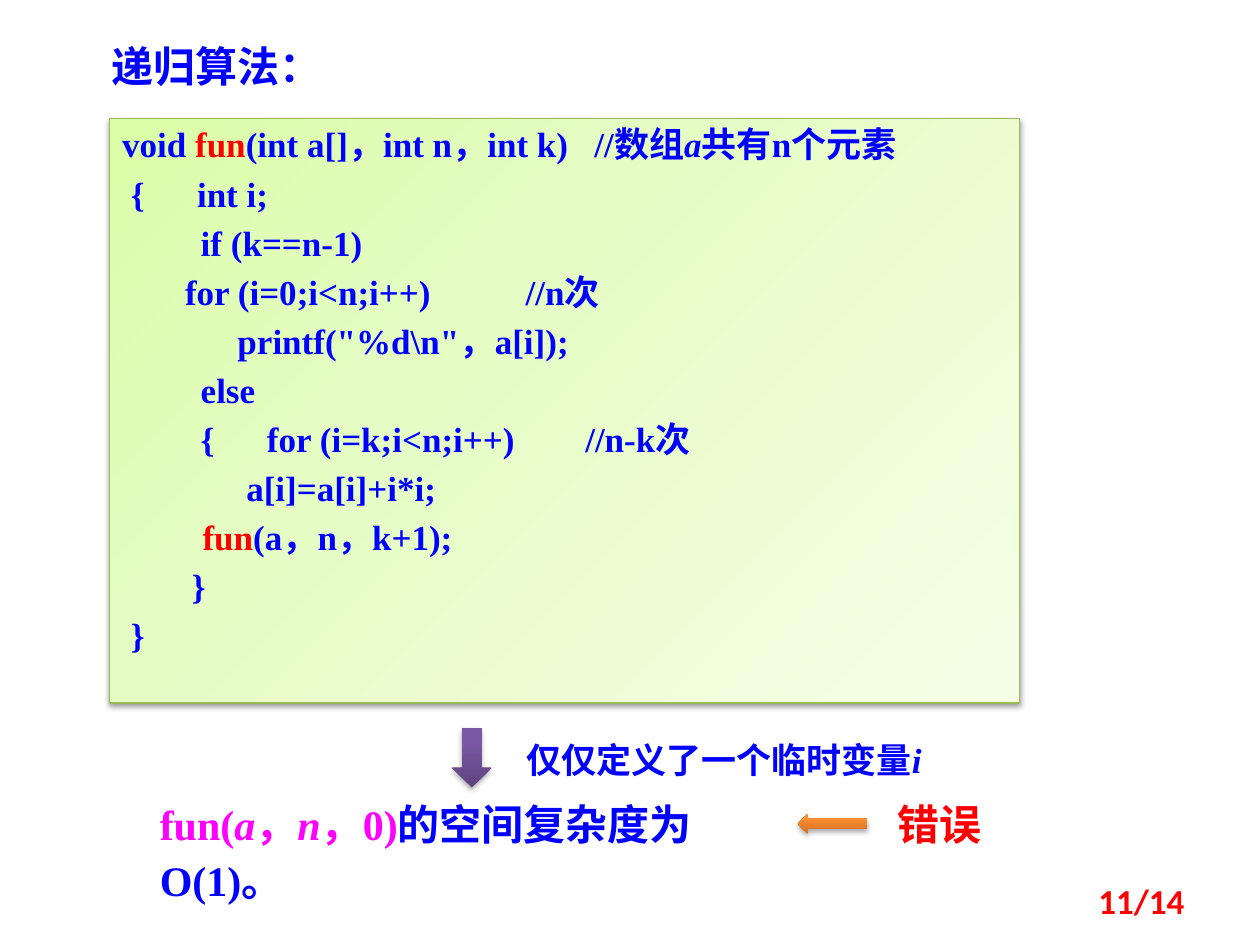
"""Build the slide on the space complexity of a recursive algorithm."""
from copy import deepcopy

from lxml import etree
from pptx import Presentation
from pptx.dml.color import RGBColor
from pptx.enum.shapes import MSO_SHAPE
from pptx.enum.text import MSO_ANCHOR, PP_ALIGN
from pptx.oxml.ns import qn
from pptx.util import Inches, Pt

LEFT, CENTER, RIGHT = PP_ALIGN.LEFT, PP_ALIGN.CENTER, PP_ALIGN.RIGHT
TOP, MIDDLE = MSO_ANCHOR.TOP, MSO_ANCHOR.MIDDLE
RECTANGLE = MSO_SHAPE.RECTANGLE
LEFT_ARROW, DOWN_ARROW = MSO_SHAPE.LEFT_ARROW, MSO_SHAPE.DOWN_ARROW
BLUE, RED, MAGENTA = "0000FF", "FF0000", "FF00FF"
SERIF, HAN, SANS = "Times New Roman", "Noto Sans CJK SC", "Calibri"

presentation = Presentation()
presentation.slide_width = Inches(10)
presentation.slide_height = Inches(7.5)
slide = presentation.slides.add_slide(presentation.slide_layouts[6])
column = presentation.slide_width / 100
row = presentation.slide_height / 100
color = RGBColor.from_string


def add_block(kind, area, stops, angle, opacity):
    left, top, width, height = area
    shape = slide.shapes.add_shape(
        kind, int(left * column), int(top * row), int(width * column), int(height * row))
    shape.line.fill.background()
    shape.fill.gradient()
    shape.fill.gradient_angle = angle
    stop_list = shape.element.spPr.find(".//" + qn("a:gsLst"))
    stop_list.append(deepcopy(stop_list[0]))
    for stop, (position, value) in zip(shape.fill.gradient_stops, stops):
        stop.position = position
        stop.color.rgb = color(value)
    shape.shadow.inherit = False
    effects = shape.element.spPr.find(qn("a:effectLst"))
    shadow = etree.SubElement(effects, qn("a:outerShdw"), blurRad=str(Pt(3.1)),
                              dist=str(Pt(1.7)), dir="5400000", rotWithShape="0")
    shade = etree.SubElement(shadow, qn("a:srgbClr"), val="000000")
    etree.SubElement(shade, qn("a:alpha"), val=str(opacity * 1000))
    return shape


def write(shape, lines, size, font=SERIF, align=LEFT, spacing=1.1, before=0, anchor=TOP):
    frame = shape.text_frame
    frame.word_wrap = True
    frame.vertical_anchor = anchor
    for index, pieces in enumerate(lines):
        paragraph = frame.add_paragraph() if index else frame.paragraphs[0]
        paragraph.alignment = align
        paragraph.line_spacing = spacing
        paragraph.space_before = Pt(before if index else 0)
        for text, value, *italic in pieces:
            run = paragraph.add_run()
            run.text = text
            run.font.size = Pt(size)
            run.font.bold = True
            run.font.italic = bool(italic)
            run.font.color.rgb = color(value)
            run.font.name = font
            etree.SubElement(run.font._element, qn("a:ea"), typeface=HAN)


code_box = add_block(RECTANGLE, (8.7, 12.53, 72.2, 61.87),
                     [(0, "DAFDA7"), (0.35, "E4FCC2"), (1, "F5FFE7")], 315, 38)
code_box.line.color.rgb = color("98B955")
code_box.line.width = Pt(0.75)
code_box.text_frame.margin_top = Inches(0.12)
code = [
    [("void ", BLUE), ("fun", RED), ("(int a[]，int n，int k)   //数组", BLUE),
     ("a", BLUE, "italic"), ("共有n个元素", BLUE)],
    [(" {      int i;", BLUE)],
    [("         if (k==n-1)", BLUE)],
    [("\tfor (i=0;i<n;i++) \u3000\u3000  //n次".replace("\u3000", "　"), BLUE)],
    [("\t      printf(\"%d\\n\"，a[i]);", BLUE)],
    [("         else", BLUE)],
    [("         {      for (i=k;i<n;i++)　　//n-k次", BLUE)],
    [("\t       a[i]=a[i]+i*i;", BLUE)],
    [("\t  ", BLUE), ("fun", RED), ("(a，n，k+1);", BLUE)],
    [("        }", BLUE)],
    [(" }", BLUE)],
]
code[3] = [("\tfor (i=0;i<n;i++) 　　  //n次", BLUE)]
write(code_box, code, 20, spacing=Pt(18), before=10)

add_block(LEFT_ARROW, (63.3, 86.13, 5.5, 2.13),
          [(0, "CC6E20"), (0.8, "FF9034"), (1, "FF9136")], 90, 35)
add_block(DOWN_ARROW, (35.9, 77.07, 3.1, 6.27),
          [(0, "5F4480"), (0.8, "7B58A6"), (1, "7C57A8")], 90, 35)

conclusion = [("fun(", MAGENTA), ("a", MAGENTA, "italic"), ("，", MAGENTA),
              ("n", MAGENTA, "italic"), ("，0)", MAGENTA), ("的空间复杂度为O(1)。", BLUE)]
reason = [("仅仅定义了一个临时变量", BLUE), ("i", BLUE, "italic")]
labels = [
    ((7.9, 3.07, 23.4, 7.33), [("递归算法：", BLUE)], 24, SERIF, LEFT, 1.1, TOP),
    ((69.5, 83.33, 10.2, 7.33), [("错误", RED)], 24, HAN, CENTER, 1.1, TOP),
    ((11.7, 83.33, 51.6, 7.33), conclusion, 24, SERIF, LEFT, 1.1, TOP),
    ((39.1, 77.07, 36.7, 5.87), reason, 20, SERIF, CENTER, 1.1, TOP),
    ((71.7, 92.67, 23.3, 5.33), [("11/14", RED)], 20, SANS, RIGHT, 1, MIDDLE),
]
for (left, top, width, height), pieces, size, font, align, spacing, anchor in labels:
    label = slide.shapes.add_textbox(
        int(left * column), int(top * row), int(width * column), int(height * row))
    write(label, [pieces], size, font, align, spacing, anchor=anchor)

presentation.save("out.pptx")
